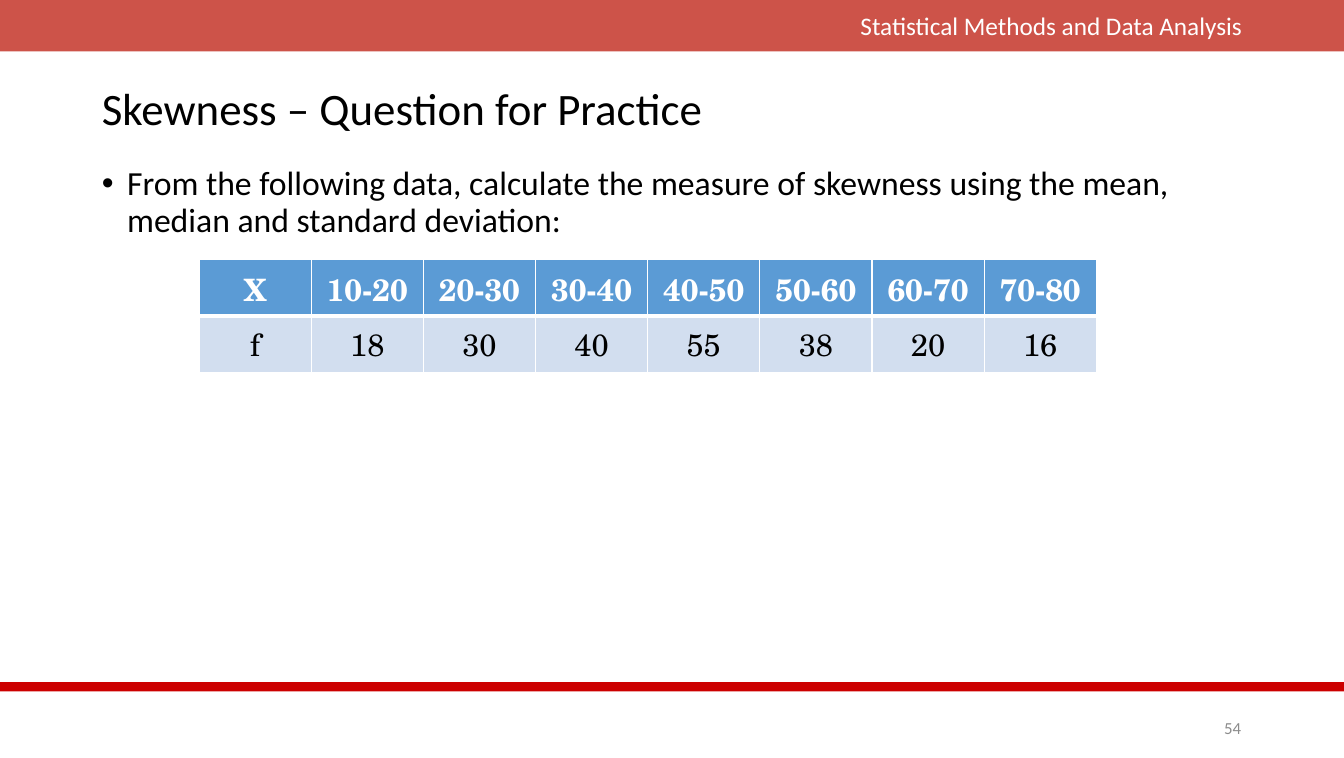
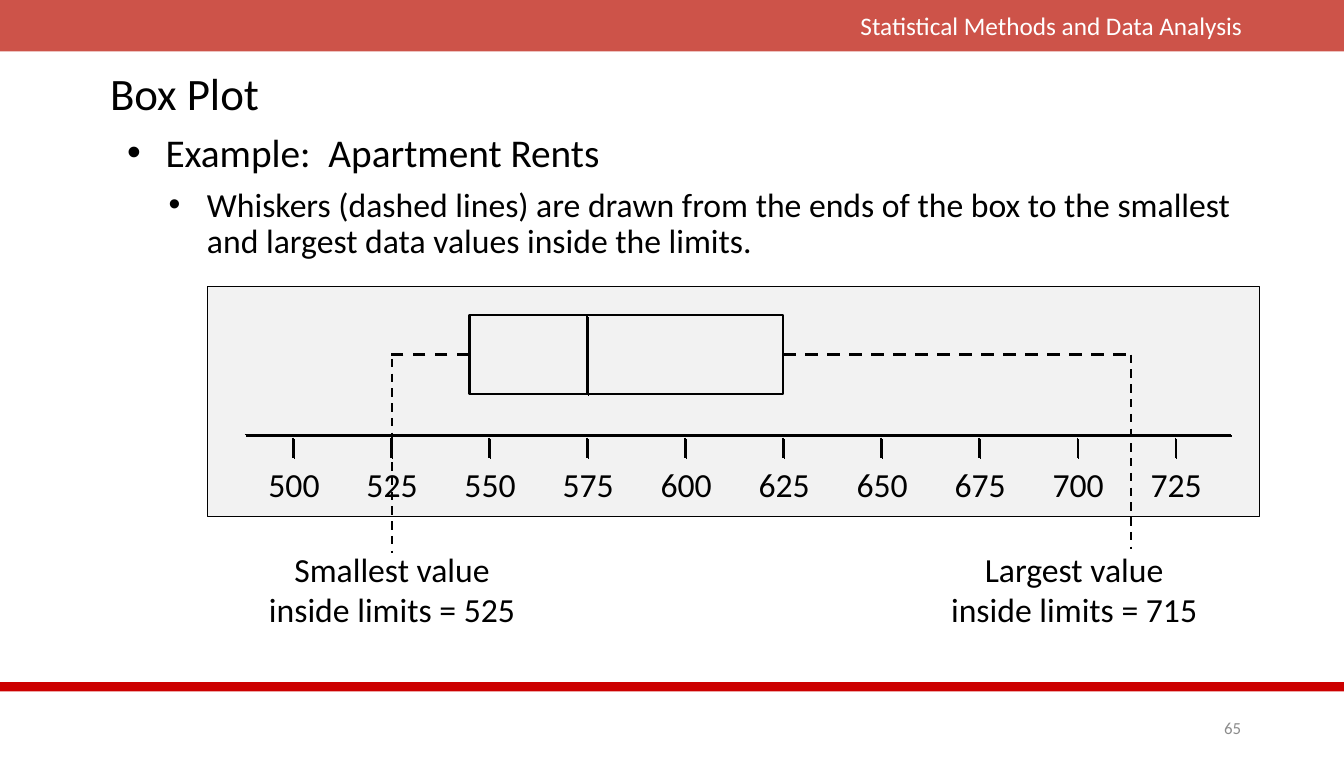
from pptx import Presentation
from pptx.dml.color import RGBColor
from pptx.enum.dml import MSO_LINE
from pptx.enum.shapes import MSO_CONNECTOR, MSO_SHAPE
from pptx.enum.text import MSO_ANCHOR, PP_ALIGN
from pptx.oxml import parse_xml
from pptx.oxml.ns import nsdecls, qn
from pptx.util import Inches, Pt
from lxml.etree import SubElement

WIDE, HIGH = 13.3, 7.5
BLACK, WHITE, GREY = "000000", "FFFFFF", "8C8C8C"
BAND, RULE, PANEL = "BF2317", "CC0000", "F2F2F2"
HEAD, BODY = "5B9BD5", "D2DEEF"
SANS, SERIF = "Calibri", "TeX Gyre Schola"
LEFT, CENTER, RIGHT = PP_ALIGN.LEFT, PP_ALIGN.CENTER, PP_ALIGN.RIGHT
TOP, MIDDLE = MSO_ANCHOR.TOP, MSO_ANCHOR.MIDDLE

COURSE = "Statistical Methods and Data Analysis"
TASK = ("From the following data, calculate the measure of skewness "
        "using the mean, median and standard deviation:")
TABLE = [
    ["X", "10-20", "20-30", "30-40", "40-50", "50-60", "60-70", "70-80"],
    ["f", "18", "30", "40", "55", "38", "20", "16"],
]
NOTE = ("Whiskers (dashed lines) are drawn from the ends of the box "
        "to the smallest and largest data values inside the limits.")
RENTS = range(500, 726, 25)
LOWER, MEDIAN, UPPER = 545, 575, 625
# box side, whisker end x, guide x, top and bottom, caption left, caption
WHISKERS = [
    (1, 3.82, 3.88, 3.55, 5.47, 2.55,
     ["Smallest value", "inside limits = 525"]),
    (3, 11.2, 11.19, 3.51, 5.43, 9.3,
     ["Largest value", "inside limits = 715"]),
]


def color(code):
    return RGBColor.from_string(code)


def style(run, size, tint=BLACK, font=SANS, bold=False):
    run.font.size, run.font.name, run.font.bold = Pt(size), font, bold
    run.font.color.rgb = color(tint)


def text(slide, place, lines, size, tint=BLACK, align=LEFT, anchor=TOP,
         wrap=True, space=1.0, hang=0):
    """Add a text box; a hang above zero makes each line a bullet."""
    frame = slide.shapes.add_textbox(*map(Inches, place)).text_frame
    frame.word_wrap, frame.vertical_anchor = wrap, anchor
    for i, line in enumerate(lines):
        para = frame.add_paragraph() if i else frame.paragraphs[0]
        para.alignment, para.line_spacing = align, space
        run = para.add_run()
        run.text = line
        style(run, size, tint)
        if hang:
            props = para._p.get_or_add_pPr()
            props.set("marL", str(Inches(hang)))
            props.set("indent", str(-Inches(hang)))
            SubElement(props, qn("a:buFont")).set("typeface", "Arial")
            SubElement(props, qn("a:buChar")).set("char", "•")


def rect(slide, place, fill=None, line=0):
    shape = slide.shapes.add_shape(MSO_SHAPE.RECTANGLE, *map(Inches, place))
    shape.shadow.inherit = False
    if fill:
        shape.fill.solid()
        shape.fill.fore_color.rgb = color(fill)
    else:
        shape.fill.background()
    if line:
        shape.line.color.rgb = color(BLACK)
        shape.line.width = Pt(line)
    else:
        shape.line.fill.background()
    return shape


def stroke(slide, start, end, width=1, dash=False, shade=False):
    line = slide.shapes.add_connector(
        MSO_CONNECTOR.STRAIGHT, *map(Inches, (*start, *end)))
    line.line.color.rgb = color(BLACK)
    line.line.width = Pt(width)
    if dash:
        line.line.dash_style = MSO_LINE.DASH
    effects = SubElement(line._element.spPr, qn("a:effectLst"))
    if shade:
        shadow = SubElement(effects, qn("a:outerShdw"),
                            dist=str(Pt(1.4)), dir="2700000")
        SubElement(shadow, qn("a:srgbClr"), val=BLACK)
    return line


def border(cell, side, width):
    cell._tc.get_or_add_tcPr().append(parse_xml(
        f'<a:ln{side} {nsdecls("a")} w="{Pt(width)}"><a:solidFill>'
        f'<a:srgbClr val="{WHITE}"/></a:solidFill></a:ln{side}>'))


def table(slide, rows, left, top, wide, high):
    count = len(rows[0])
    grid = slide.shapes.add_table(
        len(rows), count, Inches(left), Inches(top),
        Inches(wide * count), Inches(high * len(rows))).table
    for r, row in enumerate(rows):
        for c, value in enumerate(row):
            cell = grid.cell(r, c)
            for side in "LRTB":
                thick = side == ("T" if r else "B")
                border(cell, side, 3 if thick else 1)
            cell.fill.solid()
            cell.fill.fore_color.rgb = color(BODY if r else HEAD)
            para = cell.text_frame.paragraphs[0]
            para.alignment = CENTER
            run = para.add_run()
            run.text = value
            style(run, 22, BLACK if r else WHITE, SERIF, r == 0)


def base(deck, number, title, place, space):
    """Add a slide with the shared band, rule, title and number."""
    slide = deck.slides.add_slide(deck.slide_layouts[6])
    band = rect(slide, (0, 0, WIDE, 0.51), BAND)
    tint = band._element.spPr.find(".//" + qn("a:srgbClr"))
    SubElement(tint, qn("a:alpha")).set("val", "78000")
    text(slide, (6.07, 0.05, 6.32, 0.4), [COURSE], 18, WHITE, RIGHT)
    rect(slide, (0, 6.75, WIDE, 0.09), RULE)
    text(slide, place, [title], 32, anchor=MIDDLE, space=space)
    text(slide, (11.7, 7.05, 0.68, 0.3), [str(number)], 12, GREY, RIGHT,
         MIDDLE)
    return slide


def spot(rent):
    """Give the x position of a rent on the axis."""
    return 2.9 + (rent - 500) / 25 * 0.97


def skewness(deck):
    slide = base(deck, 54, "Skewness – Question for Practice",
                 (0.91, 0.7, 11.47, 0.8), 0.9)
    text(slide, (0.91, 1.6, 11.47, 5), [TASK], 24, space=0.9, hang=0.25)
    table(slide, TABLE, 1.97, 2.57, 1.11, 0.56)


def boxplot(deck):
    slide = base(deck, 65, "Box Plot", (0.99, 0.5, 11.31, 0.83), 1.0)
    text(slide, (1.16, 1.23, 9.17, 0.54), ["Example:  Apartment Rents"], 28,
         anchor=MIDDLE, hang=0.38)
    text(slide, (1.57, 1.81, 10.97, 1.01), [NOTE], 24, space=0.9, hang=0.38)
    rect(slide, (2.05, 2.83, 10.41, 2.28), PANEL, 0.5)
    stroke(slide, (2.42, 4.3), (12.18, 4.3), shade=True)
    for rent in RENTS:
        x = spot(rent)
        stroke(slide, (x, 4.33), (x, 4.53), shade=True)
        text(slide, (x - 0.49, 4.54, 1, 0.5), [str(rent)], 24, align=CENTER)

    top, high = 3.12, 0.78
    mid = top + high / 2
    left, right = spot(LOWER), spot(UPPER)
    box = rect(slide, (left, top, right - left, high), line=1.5)
    x = spot(MEDIAN)
    stroke(slide, (x, top), (x, top + high), shade=True)
    for side, tip, x, start, end, edge, lines in WHISKERS:
        whisker = stroke(slide, (left, mid), (tip, mid), 2.25, dash=True)
        whisker.begin_connect(box, side)
        stroke(slide, (x, start), (x, end), 1.5, dash=True)
        text(slide, (edge, 5.38, 2.66, 0.91), lines, 24, align=CENTER,
             wrap=False)


def main():
    deck = Presentation()
    deck.slide_width, deck.slide_height = Inches(WIDE), Inches(HIGH)
    skewness(deck)
    boxplot(deck)
    deck.save("out.pptx")


if __name__ == "__main__":
    main()
